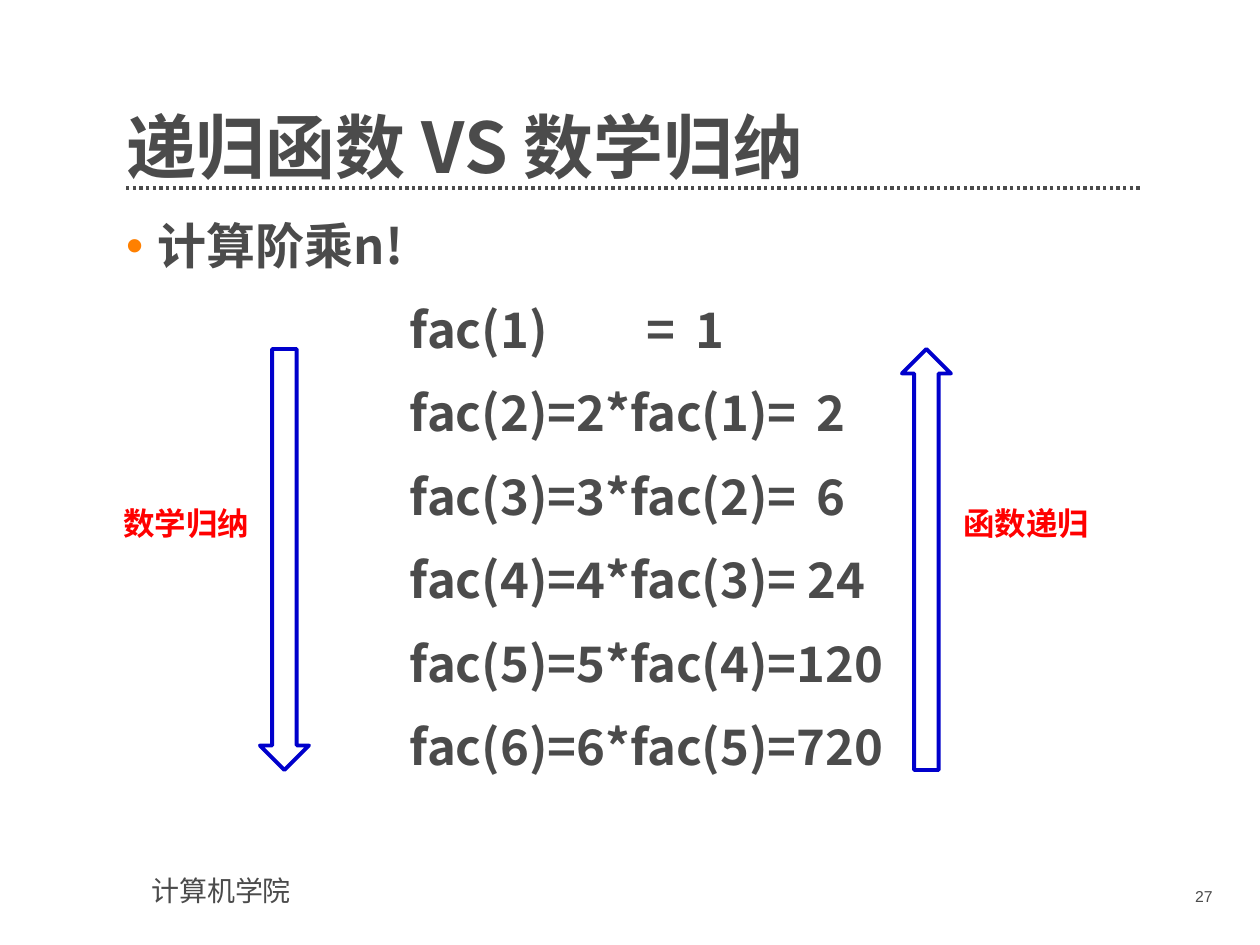
"""Build the slide comparing recursive functions with mathematical induction."""
from lxml import etree
from pptx import Presentation
from pptx import util as u
from pptx.dml.color import RGBColor
from pptx.enum import dml, shapes, text
from pptx.oxml.ns import qn

PX = 914400 / 126
GREY = RGBColor(0x4B, 0x4B, 0x4B)
RED = RGBColor(0xFF, 0x00, 0x00)
BLUE = RGBColor(0x00, 0x00, 0xCC)
ORANGE = "FF8000"
CJK = "Noto Sans CJK SC"
LATIN = "Arial"

TITLE = "递归函数 VS 数学归纳"
TOPIC = "计算阶乘n!"
EQUATIONS = [
    "fac(1)\t=\t1",
    "fac(2)=2*fac(1)=\t2",
    "fac(3)=3*fac(2)=\t6",
    "fac(4)=4*fac(3)= 24",
    "fac(5)=5*fac(4)=120",
    "fac(6)=6*fac(5)=720",
]
TAB_STOPS = [284, 520, 570, 690]
HANGING = 32

HEADING = dict(size=u.Pt(40), name=CJK, bold=True)
BODY = dict(size=u.Pt(28), name=CJK, bold=True)
LABEL = dict(size=u.Pt(18), name=LATIN, bold=True)
FOOTER = dict(size=u.Pt(16), name=LATIN)
NUMBER = dict(size=u.Pt(9), name=LATIN)

SMALL_TEXTS = [
    ("计算机学院", (139, 867, 318, 47), FOOTER, GREY, text.PP_ALIGN.LEFT),
    ("27", (1100, 881, 125, 37), NUMBER, GREY, text.PP_ALIGN.RIGHT),
    ("数学归纳", (111, 498, 173, 50), LABEL, RED, text.PP_ALIGN.LEFT),
    ("函数递归", (951, 498, 173, 50), LABEL, RED, text.PP_ALIGN.LEFT),
]
ARROWS = [(shapes.MSO_SHAPE.DOWN_ARROW, 260), (shapes.MSO_SHAPE.UP_ARROW, 902)]
ARROW_TOP, ARROW_WIDTH, ARROW_HEIGHT = 349, 49, 421


def px(*lengths):
    return [u.Emu(round(length * PX)) for length in lengths]


def set_all(target, values):
    for name, value in values.items():
        setattr(target, name, value)


def add_run(paragraph, words, font, color):
    run = paragraph.add_run()
    run.text = words
    set_all(run.font, font)
    run.font.color.rgb = color
    east_asian = etree.SubElement(run.font._element, qn("a:ea"))
    east_asian.set("typeface", font["name"])


def add_frame(slide, box, **settings):
    frame = slide.shapes.add_textbox(*px(*box)).text_frame
    set_all(frame, dict(word_wrap=True, **settings))
    return frame


def add_bullet(paragraph):
    properties = paragraph._p.get_or_add_pPr()
    indent = px(HANGING)[0]
    properties.set("marL", str(indent))
    properties.set("indent", str(-indent))
    color = etree.SubElement(properties, qn("a:buClr"))
    etree.SubElement(color, qn("a:srgbClr")).set("val", ORANGE)
    etree.SubElement(properties, qn("a:buFont")).set("typeface", LATIN)
    etree.SubElement(properties, qn("a:buChar")).set("char", "•")


def add_tab_stops(paragraph):
    stops = etree.SubElement(paragraph._p.get_or_add_pPr(), qn("a:tabLst"))
    for position in px(*TAB_STOPS):
        stop = etree.SubElement(stops, qn("a:tab"))
        stop.set("pos", str(position))
        stop.set("algn", "l")


def add_rule(slide):
    rule = slide.shapes.add_connector(
        shapes.MSO_CONNECTOR.STRAIGHT, *px(126, 188, 1141, 188))
    set_all(rule.line, dict(width=u.Pt(1.9), dash_style=dml.MSO_LINE.ROUND_DOT))
    rule.line.color.rgb = GREY
    etree.SubElement(rule._element.spPr, qn("a:effectLst"))


def add_title(slide):
    frame = add_frame(slide, (126, 74, 1016, 115), margin_left=0, margin_top=0,
                      margin_right=0, margin_bottom=0,
                      vertical_anchor=text.MSO_ANCHOR.BOTTOM)
    paragraph = frame.paragraphs[0]
    paragraph.line_spacing = 0.9
    add_run(paragraph, TITLE, HEADING, GREY)


def add_body(slide):
    frame = add_frame(slide, (126, 210, 1016, 630), margin_left=0, margin_top=0,
                      margin_right=px(25)[0], margin_bottom=0)
    topic = frame.paragraphs[0]
    topic.line_spacing = u.Pt(37)
    add_bullet(topic)
    add_run(topic, TOPIC, BODY, GREY)
    for equation in EQUATIONS:
        paragraph = frame.add_paragraph()
        set_all(paragraph, dict(line_spacing=u.Pt(37), space_before=u.Pt(10.7)))
        add_tab_stops(paragraph)
        add_run(paragraph, "\t" + equation, BODY, GREY)


def add_arrow(slide, preset, left):
    arrow = slide.shapes.add_shape(
        preset, *px(left, ARROW_TOP, ARROW_WIDTH, ARROW_HEIGHT))
    arrow.shadow.inherit = False
    arrow.fill.background()
    arrow.line.color.rgb = BLUE
    arrow.line.width = u.Pt(2.25)


def main():
    presentation = Presentation()
    width, height = px(1260, 945)
    set_all(presentation, dict(slide_width=width, slide_height=height))
    slide = presentation.slides.add_slide(presentation.slide_layouts[6])
    add_rule(slide)
    add_title(slide)
    add_body(slide)
    for preset, left in ARROWS:
        add_arrow(slide, preset, left)
    for words, box, font, color, alignment in SMALL_TEXTS:
        paragraph = add_frame(slide, box).paragraphs[0]
        paragraph.alignment = alignment
        add_run(paragraph, words, font, color)
    presentation.save("out.pptx")


if __name__ == "__main__":
    main()
